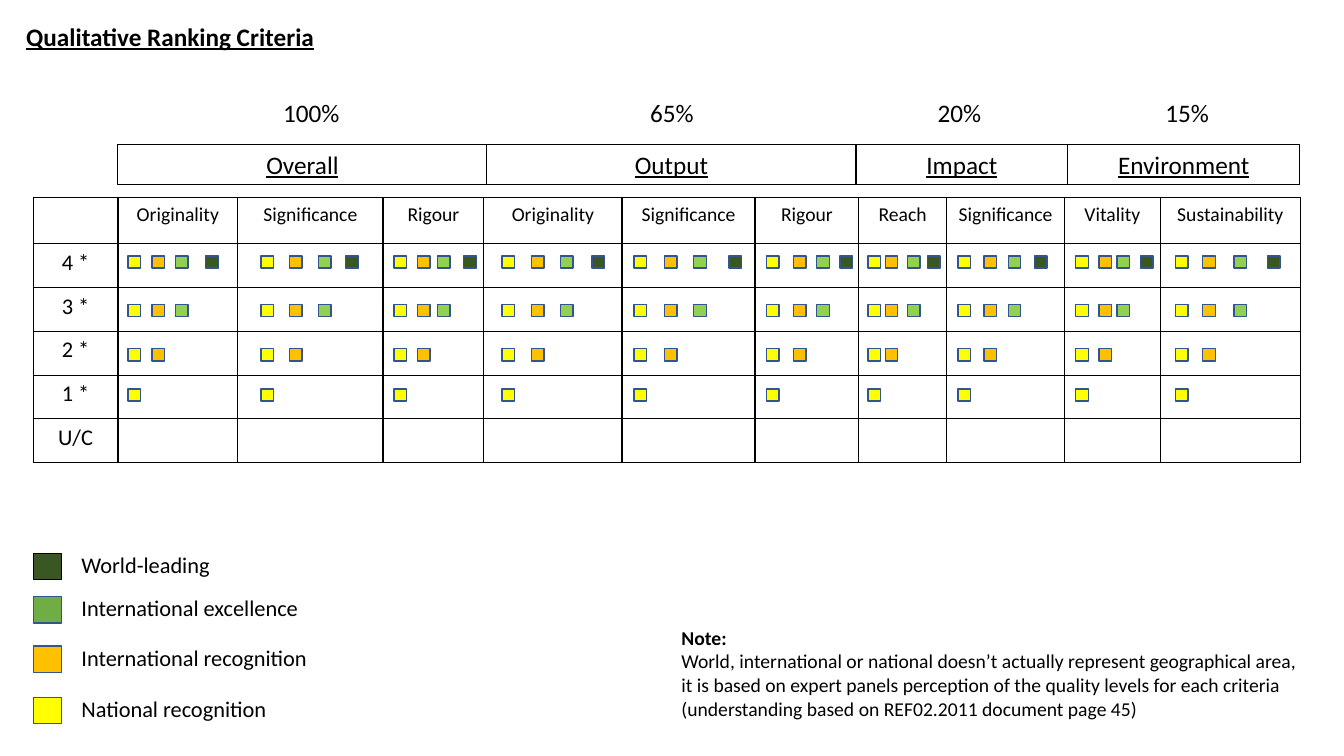
import lxml.etree
import pptx
import pptx.dml.color
import pptx.enum.shapes
import pptx.enum.text
import pptx.oxml.ns
import pptx.util

ALIGN = pptx.enum.text.PP_ALIGN
BLACK, EDGE = "000000", "325491"
YELLOW, ORANGE, LIME, GREEN, FOREST = "FFFF00", "FFC000", "92D050", "70AD47", "385723"

# Heading, width, weight, left of weight
GROUPS = [
    ("Overall", 36.6, "100%", 27.1),
    ("Output", 36.6, "65%", 63.5),
    ("Impact", 21, "20%", 92),
    ("Environment", 23, "15%", 114.6),
]
# Criterion, column width, left of each level's mark from national to world-leading
CRITERIA = [
    ("Originality", 11.9, (12.7, 15.1, 17.4, 20.4)),
    ("Significance", 14.4, (25.9, 28.7, 31.6, 34.3)),
    ("Rigour", 10, (39.1, 41.4, 43.4, 46)),
    ("Originality", 13.7, (49.8, 52.7, 55.6, 58.7)),
    ("Significance", 13.2, (62.9, 65.9, 68.8, 72.3)),
    ("Rigour", 10.3, (76, 78.7, 81, 83.3)),
    ("Reach", 8.7, (86.1, 87.8, 90, 92)),
    ("Significance", 11.7, (95, 97.6, 100, 102.6)),
    ("Vitality", 9.5, (106.7, 109, 110.8, 113.1)),
    ("Sustainability", 13.9, (116.6, 119.3, 122.4, 125.7)),
]
RATINGS = ["4 *", "3 *", "2 *", "1 *", "U/C"]
MARK_TOPS = [25.4, 30.2, 34.6, 38.6]
MARK_COLORS = [YELLOW, ORANGE, LIME, FOREST]
LEGEND = [
    ("World-leading", FOREST, BLACK, 54.9),
    ("International excellence", GREEN, EDGE, 59.2),
    ("International recognition", ORANGE, EDGE, 64.1),
    ("National recognition", YELLOW, EDGE, 69.2),
]
NOTE = [
    "World, international or national doesn’t actually represent geographical area, "
    "it is based on expert panels perception of the quality levels for each criteria",
    "(understanding based on REF02.2011 document page 45)",
]


def color(value):
    return pptx.dml.color.RGBColor.from_string(value)


class Board:
    """Draws on one slide; lengths are cells of a tenth-of-an-inch grid."""

    font = "Calibri"

    def __init__(self, prs):
        self.slide = prs.slides.add_slide(prs.slide_layouts[5])

    def grid(self, *cells):
        return [pptx.util.Inches(cell / 10) for cell in cells]

    def run(self, p, text, size, bold=False, underline=False):
        r = p.add_run()
        r.text = text
        r.font.name, r.font.size = self.font, pptx.util.Pt(size)
        r.font.bold, r.font.underline = bold, underline
        r.font.color.rgb = color(BLACK)

    def title(self, at, text, size):
        sp = self.slide.shapes.title
        sp.left, sp.top, sp.width, sp.height = self.grid(*at)
        tf = sp.text_frame
        tf.auto_size = pptx.enum.text.MSO_AUTO_SIZE.NONE
        tf.vertical_anchor = pptx.enum.text.MSO_ANCHOR.TOP
        tf.paragraphs[0].alignment = ALIGN.LEFT
        self.run(tf.paragraphs[0], text, size, bold=True, underline=True)

    def text(self, at, lines, size, bold_first=False):
        tf = self.slide.shapes.add_textbox(*self.grid(*at)).text_frame
        tf.word_wrap = True
        tf.auto_size = pptx.enum.text.MSO_AUTO_SIZE.SHAPE_TO_FIT_TEXT
        for i, line in enumerate(lines):
            p = tf.add_paragraph() if i else tf.paragraphs[0]
            self.run(p, line, size, bold=bold_first and i == 0)

    def box(self, at, fill=None, line=EDGE, weight=1):
        sp = self.slide.shapes.add_shape(
            pptx.enum.shapes.MSO_SHAPE.RECTANGLE, *self.grid(*at))
        sp.shadow.inherit = False
        if fill:
            sp.fill.solid()
            sp.fill.fore_color.rgb = color(fill)
        else:
            sp.fill.background()
        sp.line.color.rgb = color(line)
        sp.line.width = pptx.util.Pt(weight)
        return sp

    def heading(self, at, text, size):
        p = self.box(at, line=BLACK, weight=0.75).text_frame.paragraphs[0]
        p.alignment = ALIGN.CENTER
        self.run(p, text, size, underline=True)

    def borders(self, cell):
        tc_pr = cell._tc.get_or_add_tcPr()
        qn = pptx.oxml.ns.qn
        for i, side in enumerate(("a:lnL", "a:lnR", "a:lnT", "a:lnB")):
            ln = lxml.etree.Element(qn(side), w=str(pptx.util.Pt(1)))
            fill = lxml.etree.SubElement(ln, qn("a:solidFill"))
            lxml.etree.SubElement(fill, qn("a:srgbClr"), val=BLACK)
            tc_pr.insert(i, ln)

    def table(self, left, top, widths, heights, texts):
        frame = self.slide.shapes.add_table(
            len(heights), len(widths),
            *self.grid(left, top, sum(widths), sum(heights)))
        table = frame.table
        table.first_row = table.horz_banding = False
        for column, width in zip(table.columns, self.grid(*widths)):
            column.width = width
        for row, height in zip(table.rows, self.grid(*heights)):
            row.height = height
        for cell in table.iter_cells():
            cell.fill.background()
            self.borders(cell)
        for (row, col), (text, size) in texts.items():
            p = table.cell(row, col).text_frame.paragraphs[0]
            p.alignment = ALIGN.CENTER
            self.run(p, text, size)


def main():
    prs = pptx.Presentation()
    prs.slide_width = pptx.util.Inches(13.33)
    prs.slide_height = pptx.util.Inches(7.5)
    board = Board(prs)
    board.title((1.6, 1.6, 63.1, 4), "Qualitative Ranking Criteria", 18)

    # Table of criteria and ratings
    texts = {(0, i): (name, 14) for i, (name, _, _) in enumerate(CRITERIA, 1)}
    texts.update({(i, 0): (name, 16) for i, name in enumerate(RATINGS, 1)})
    widths = [8.4] + [width for _, width, _ in CRITERIA]
    board.table(3.3, 19.6, widths, [4.6] + [4.34] * len(RATINGS), texts)

    # Group headings with their weights
    left = 11.7
    for name, width, share, share_left in GROUPS:
        board.heading((left, 14.3, width, 4), name, 18)
        board.text((share_left, 9.15, 9.8, 4), [share], 18)
        left += width

    # Each lower rating carries one mark fewer
    for _, _, lefts in CRITERIA:
        for i, top in enumerate(MARK_TOPS):
            for mark_left, fill in list(zip(lefts, MARK_COLORS))[:4 - i]:
                board.box((mark_left, top, 1.25, 1.2), fill)

    # Legend
    for name, fill, line, top in LEGEND:
        board.box((3.3, top, 2.8, 2.6), fill, line)
        board.text((7.1, top - 0.7, 25.6, 3.7), [name], 16)

    # Note
    board.text((66.6, 61.6, 64.1, 10.4), ["Note:"] + NOTE, 14, bold_first=True)
    prs.save("out.pptx")


if __name__ == "__main__":
    main()
